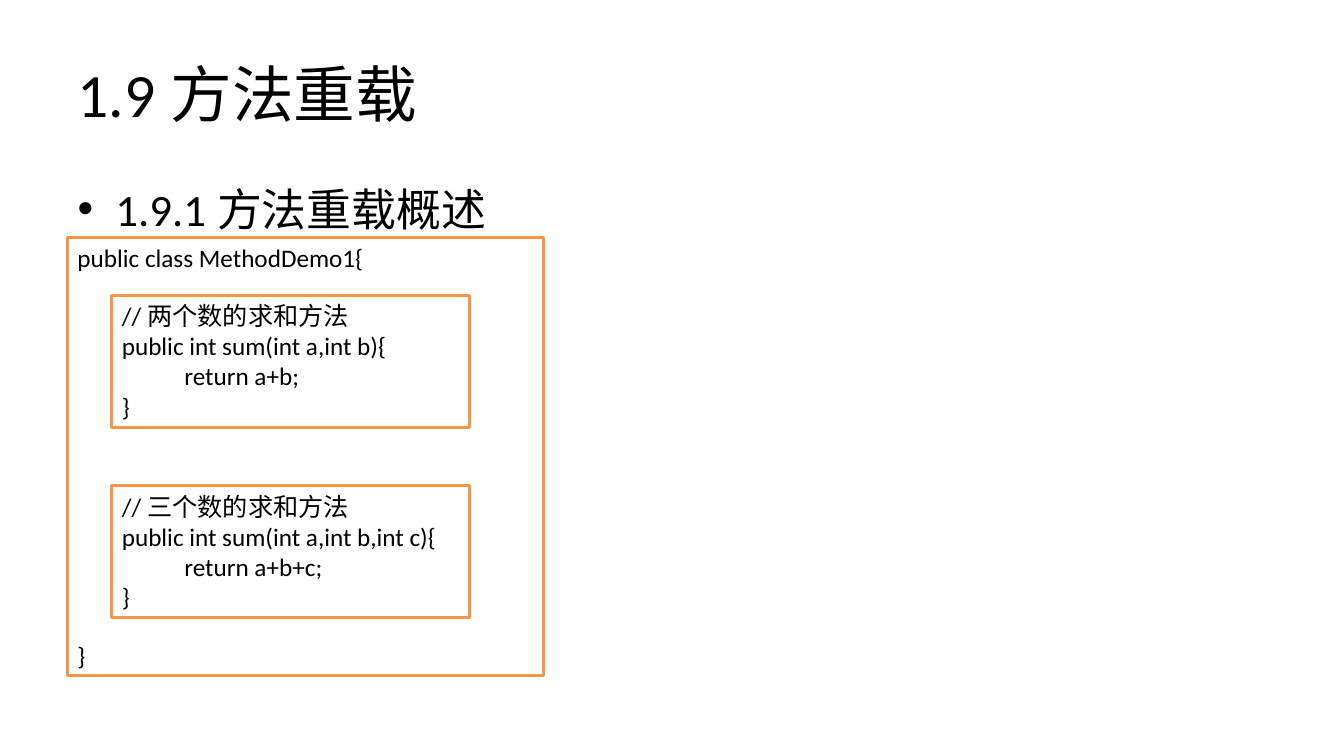
import pptx
import pptx.util
import pptx.dml.color
import pptx.enum.shapes
import pptx.enum.text

Inches, Pt = pptx.util.Inches, pptx.util.Pt
RGB = pptx.dml.color.RGBColor.from_string

TITLE = "1.9方法重载"
HEADING = "1.9.1方法重载概述"
CLASS_LINES = ["public class MethodDemo1{", "}"]
METHODS = [
    ["//两个数的求和方法", "public int sum(int a,int b){", "return a+b;", "}"],
    ["//三个数的求和方法", "public int sum(int a,int b,int c){", "return a+b+c;", "}"],
]
RETURN_LINE = 2

THEME = {
    "font": "Calibri", "text": RGB("000000"), "paper": RGB("FFFFFF"),
    "border": RGB("F79646"), "border_width": 2,
    "title": 44, "heading": 32, "code": 18,
}

MARGIN, CONTENT_WIDTH = 0.67, 12
CLASS_BOX = (MARGIN, 2.36, 4.72, 4.34)
METHOD_LEFT, METHOD_TOP, METHOD_STEP = 1.11, 2.93, 1.89
METHOD_SIZE = (3.55, 1.31)
RETURN_INDENT = 0.62
CLASS_BODY_GAP = 262  # points between the class header and its closing brace


def place(part, left, top, width, height):
    part.left, part.top = Inches(left), Inches(top)
    part.width, part.height = Inches(width), Inches(height)


def write(frame, lines, size, anchor=pptx.enum.text.MSO_ANCHOR.TOP):
    frame.word_wrap = True
    frame.vertical_anchor = anchor
    for number, line in enumerate(lines):
        paragraph = frame.add_paragraph() if number else frame.paragraphs[0]
        paragraph.alignment = pptx.enum.text.PP_ALIGN.LEFT
        run = paragraph.add_run()
        run.text = line
        run.font.name = THEME["font"]
        run.font.size = Pt(size)
        run.font.color.rgb = THEME["text"]
    return frame.paragraphs


def add_code_box(slide, lines, bounds):
    box = slide.shapes.add_shape(
        pptx.enum.shapes.MSO_SHAPE.RECTANGLE, *map(Inches, bounds))
    box.shadow.inherit = False
    box.fill.solid()
    box.fill.fore_color.rgb = THEME["paper"]
    box.line.color.rgb = THEME["border"]
    box.line.width = Pt(THEME["border_width"])
    return write(box.text_frame, lines, THEME["code"])


def main():
    deck = pptx.Presentation()
    deck.slide_width, deck.slide_height = Inches(13.33), Inches(7.5)
    slide = deck.slides.add_slide(deck.slide_layouts[1])

    title, body = slide.shapes.title, slide.placeholders[1]
    place(title, MARGIN, 0.3, CONTENT_WIDTH, 1.25)
    write(title.text_frame, [TITLE], THEME["title"],
          anchor=pptx.enum.text.MSO_ANCHOR.MIDDLE)
    place(body, MARGIN, 1.75, CONTENT_WIDTH, 4.95)
    write(body.text_frame, [HEADING], THEME["heading"])

    closing_brace = add_code_box(slide, CLASS_LINES, CLASS_BOX)[-1]
    closing_brace.space_before = Pt(CLASS_BODY_GAP)

    for number, method in enumerate(METHODS):
        top = METHOD_TOP + number * METHOD_STEP
        code = add_code_box(slide, method, (METHOD_LEFT, top, *METHOD_SIZE))
        code[RETURN_LINE]._p.get_or_add_pPr().set("marL", str(Inches(RETURN_INDENT)))

    deck.save("out.pptx")


if __name__ == "__main__":
    main()
